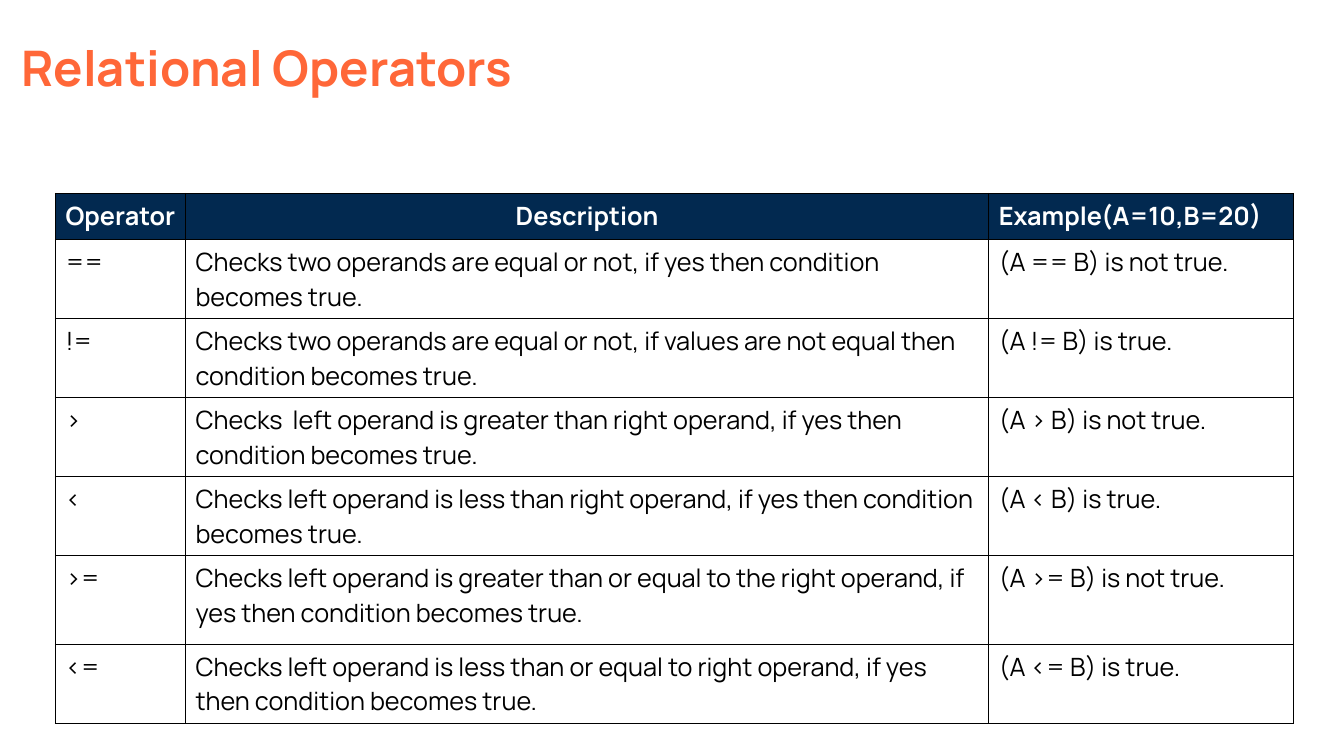
"""Builds a slide with a table of relational operators."""
from typing import NamedTuple

from lxml.etree import SubElement
from pptx import Presentation
from pptx.dml.color import RGBColor
from pptx.enum.text import MSO_ANCHOR, PP_ALIGN
from pptx.oxml.ns import qn
from pptx.util import Length, Pt

FONT = "Manrope"
ORANGE = RGBColor(0xFF, 0x67, 0x38)
NAVY = RGBColor(0x02, 0x29, 0x50)
WHITE = RGBColor(0xFF, 0xFF, 0xFF)
BLACK = RGBColor(0, 0, 0)
BORDER_WIDTH = Pt(1)


class Operator(NamedTuple):
    symbol: str
    description: str
    example: str
    height: Length = Pt(48.3)


HEADER = Operator("Operator", "Description", "Example(A=10,B=20)", Pt(33))
OPERATORS = [
    Operator("==", "Checks two operands are equal or not, if yes then condition becomes true.",
             "(A == B) is not true."),
    Operator("!=", "Checks two operands are equal or not, if values are not equal then "
             "condition becomes true.", "(A != B) is true."),
    Operator(">", "Checks  left operand is greater than right operand, if yes then "
             "condition becomes true.", "(A > B) is not true."),
    Operator("<", "Checks left operand is less than right operand, if yes then "
             "condition becomes true.", "(A < B) is true."),
    Operator(">=", "Checks left operand is greater than or equal to the right operand, if yes "
             "then condition becomes true.", "(A >= B) is not true.", Pt(63.4)),
    Operator("<=", "Checks left operand is less than or equal to right operand, if yes then "
             "condition becomes true.", "(A <= B) is true."),
]
COLUMN_WIDTHS = [Pt(92.9), Pt(573.9), Pt(217.4)]


def style_paragraph(paragraph, size: Length, color: RGBColor, bold: bool) -> None:
    """Sets the font of a paragraph."""
    font = paragraph.font
    font.name, font.size, font.bold = FONT, size, bold
    font.color.rgb = color


def add_borders(cell) -> None:
    """Draws a thin black line on each side of a cell."""
    properties = cell._tc.get_or_add_tcPr()
    for side in ("a:lnL", "a:lnR", "a:lnT", "a:lnB"):
        line = SubElement(properties, qn(side), w=str(BORDER_WIDTH))
        SubElement(SubElement(line, qn("a:solidFill")), qn("a:srgbClr"), val=str(BLACK))


def fill_cell(cell, text: str, is_header: bool) -> None:
    """Writes and formats one cell."""
    cell.text = text
    style_paragraph(cell.text_frame.paragraphs[0], Pt(18),
                    WHITE if is_header else BLACK, is_header)
    add_borders(cell)
    if is_header:
        cell.fill.solid()
        cell.fill.fore_color.rgb = NAVY
    else:
        cell.fill.background()


def add_title(slide, text: str) -> None:
    """Places the slide title."""
    title = slide.shapes.title
    title.left, title.top, title.width, title.height = Pt(8), Pt(28), Pt(828), Pt(104.4)
    title.text_frame.text = text
    title.text_frame.vertical_anchor = MSO_ANCHOR.TOP
    heading = title.text_frame.paragraphs[0]
    heading.alignment = PP_ALIGN.LEFT
    heading.line_spacing = 0.9
    style_paragraph(heading, Pt(35), ORANGE, True)


def add_operator_table(slide) -> None:
    """Adds the table with its header and one row for each operator."""
    rows = [HEADER, *OPERATORS]
    table = slide.shapes.add_table(
        len(rows), len(COLUMN_WIDTHS), Pt(39.6), Pt(138.2),
        sum(COLUMN_WIDTHS), sum(row.height for row in rows)).table
    table.horz_banding = False
    for column, width in zip(table.columns, COLUMN_WIDTHS):
        column.width = width
    for row_index, operator in enumerate(rows):
        table.rows[row_index].height = operator.height
        texts = (operator.symbol, operator.description, operator.example)
        for cell, text in zip(table.rows[row_index].cells, texts):
            fill_cell(cell, text, operator is HEADER)
    table.cell(0, 1).text_frame.paragraphs[0].alignment = PP_ALIGN.CENTER


def main() -> None:
    """Builds and saves the presentation."""
    presentation = Presentation()
    presentation.slide_width, presentation.slide_height = Pt(960), Pt(540)
    slide = presentation.slides.add_slide(presentation.slide_layouts.get_by_name("Title Only"))
    add_title(slide, "Relational Operators")
    add_operator_table(slide)
    presentation.save("out.pptx")


main()
